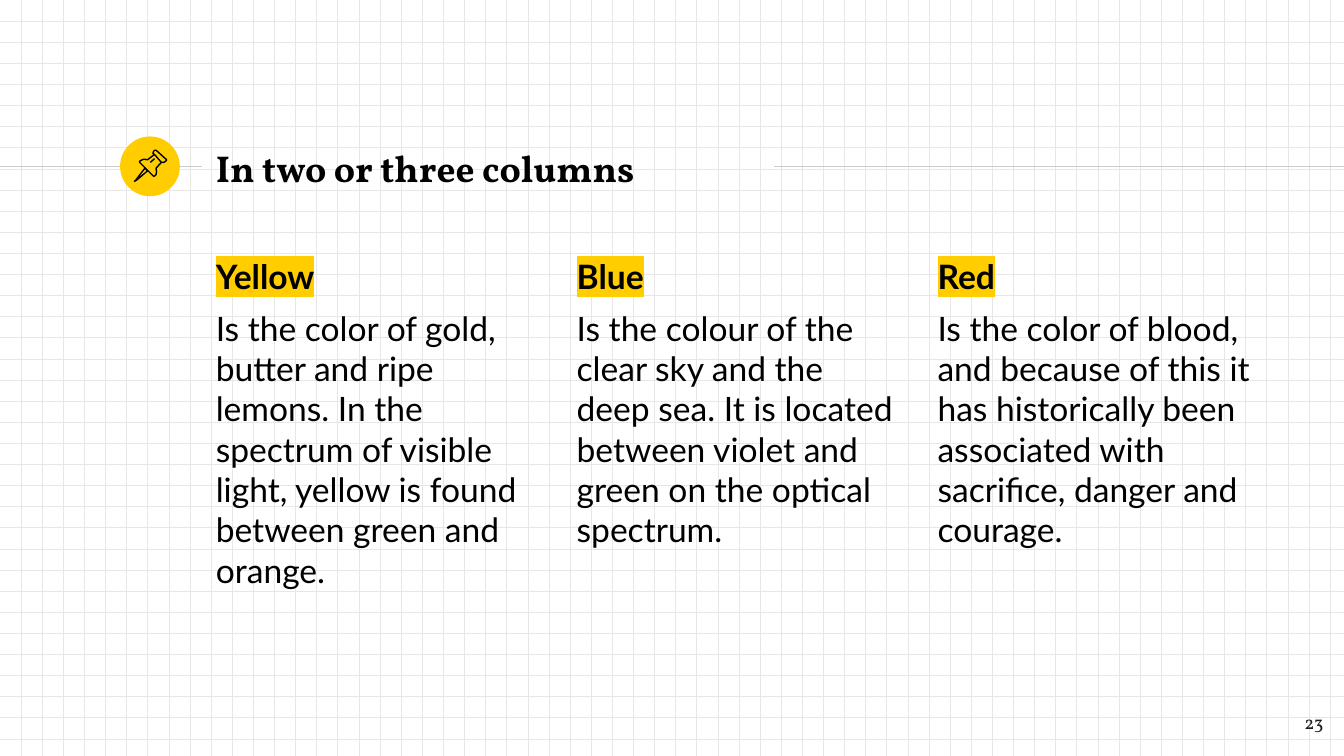
from lxml.etree import SubElement
from pptx import Presentation
from pptx.dml.color import RGBColor
from pptx.enum.dml import MSO_PATTERN
from pptx.enum.shapes import MSO_CONNECTOR, MSO_SHAPE
from pptx.enum.text import MSO_ANCHOR, MSO_AUTO_SIZE, PP_ALIGN
from pptx.oxml.ns import qn
from pptx.util import Cm, Pt

TITLE = "In two or three columns"
NUMBER = "23"
COLUMNS = [
    ("Yellow", "Is the color of gold, butter and ripe lemons. In the spectrum of visible light, "
               "yellow is found between green and orange."),
    ("Blue", "Is the colour of the clear sky and the deep sea. It is located between violet and "
             "green on the optical spectrum."),
    ("Red", "Is the color of blood, and because of this it has historically been associated with "
            "sacrifice, danger and courage."),
]
BLACK, YELLOW, GREY = "000000", "FFCD00", "CCCCCC"
WIDTH, HEIGHT = 25.4, 14.29
LEFT, COLUMN_TOP, COLUMN_WIDTH, COLUMN_HEIGHT, COLUMN_STEP = 3.83, 4.59, 6.48, 8.66, 6.82
RULE_Y = 3.15
RULES = [(0, 3.81), (14.63, WIDTH)]
PIN_UNIT = Cm(0.01)
PIN_OUTLINES = [
    ([(274, 318), (257, 340), (254, 343), (259, 340), (279, 323)], True),
    ([(292, 292), (305, 307), (310, 307), (314, 304), (315, 302), (295, 284),
      (292, 284), (290, 287), (289, 290)], True),
    ([(292, 292), (279, 302), (272, 301), (267, 303), (264, 305), (264, 307),
      (290, 333), (292, 333), (295, 330), (296, 325), (295, 318), (305, 307)], False),
]
PIN_GLINT = (2.84, 3.07, 2.92, 3.0)


def color(value):
    return RGBColor.from_string(value)


def add_line(shapes, x1, y1, x2, y2, value):
    line = shapes.add_connector(MSO_CONNECTOR.STRAIGHT, Cm(x1), Cm(y1), Cm(x2), Cm(y2))
    line.line.color.rgb = color(value)
    line.line.width = Pt(0.75)
    SubElement(line._element.spPr, qn("a:effectLst"))


def add_outline(shapes, points, closed):
    builder = shapes.build_freeform(*points[0], scale=PIN_UNIT)
    builder.add_line_segments(points[1:], close=closed)
    outline = builder.convert_to_shape()
    outline.shadow.inherit = False
    outline.fill.background()
    outline.line.color.rgb = color(BLACK)
    outline.line.width = Pt(0.75)


def prepare(frame, anchor=MSO_ANCHOR.TOP):
    frame.word_wrap = True
    frame.auto_size = MSO_AUTO_SIZE.NONE
    frame.vertical_anchor = anchor
    frame.margin_left = frame.margin_right = Cm(0.25)
    frame.margin_top = frame.margin_bottom = Cm(0.25)


def write(para, text, font, size, value, bold=False, align=PP_ALIGN.LEFT):
    span = para.add_run()
    span.text = text
    para.alignment = align
    para.font.name = font
    para.font.size = Pt(size)
    para.font.bold = bold
    para.font.color.rgb = color(value)
    return span


def highlight(span, value):
    mark = SubElement(span.font._element, qn("a:highlight"))
    SubElement(mark, qn("a:srgbClr"), val=value)


deck = Presentation()
deck.slide_width, deck.slide_height = Cm(WIDTH), Cm(HEIGHT)
page = deck.slides.add_slide(deck.slide_layouts[5])

backdrop = page.background.fill
backdrop.patterned()
backdrop.pattern = MSO_PATTERN.DOTTED_GRID
backdrop.fore_color.rgb = color("E8E7E6")
backdrop.back_color.rgb = color("FFFFFF")

for start, end in RULES:
    add_line(page.shapes, start, RULE_Y, end, RULE_Y, GREY)

badge = page.shapes.add_shape(MSO_SHAPE.OVAL, Cm(2.27), Cm(2.58), Cm(1.13), Cm(1.13))
badge.shadow.inherit = False
badge.fill.solid()
badge.fill.fore_color.rgb = color(YELLOW)
badge.line.fill.background()

title = page.shapes.title
title.left, title.top, title.width, title.height = Cm(LEFT), Cm(2.55), Cm(10.77), Cm(1.22)
prepare(title.text_frame, MSO_ANCHOR.MIDDLE)
write(title.text_frame.paragraphs[0], TITLE, "Vollkorn", 20, BLACK, bold=True)

for index, (heading, body) in enumerate(COLUMNS):
    box = page.shapes.add_textbox(Cm(LEFT + index * COLUMN_STEP), Cm(COLUMN_TOP),
                                  Cm(COLUMN_WIDTH), Cm(COLUMN_HEIGHT))
    frame = box.text_frame
    prepare(frame)
    highlight(write(frame.paragraphs[0], heading, "Lato", 18, BLACK, bold=True), YELLOW)
    para = frame.add_paragraph()
    para.space_before = Pt(6)
    write(para, body, "Lato", 18, BLACK)

pin = page.shapes.add_group_shape()
for points, closed in PIN_OUTLINES:
    add_outline(pin.shapes, points, closed)
add_line(pin.shapes, *PIN_GLINT, BLACK)

number_box = page.shapes.add_textbox(Cm(23.74), Cm(13.19), Cm(1.52), Cm(1.09))
prepare(number_box.text_frame)
write(number_box.text_frame.paragraphs[0], NUMBER, "Vollkorn", 10, "1D1D1B", align=PP_ALIGN.RIGHT)

deck.save("out.pptx")
